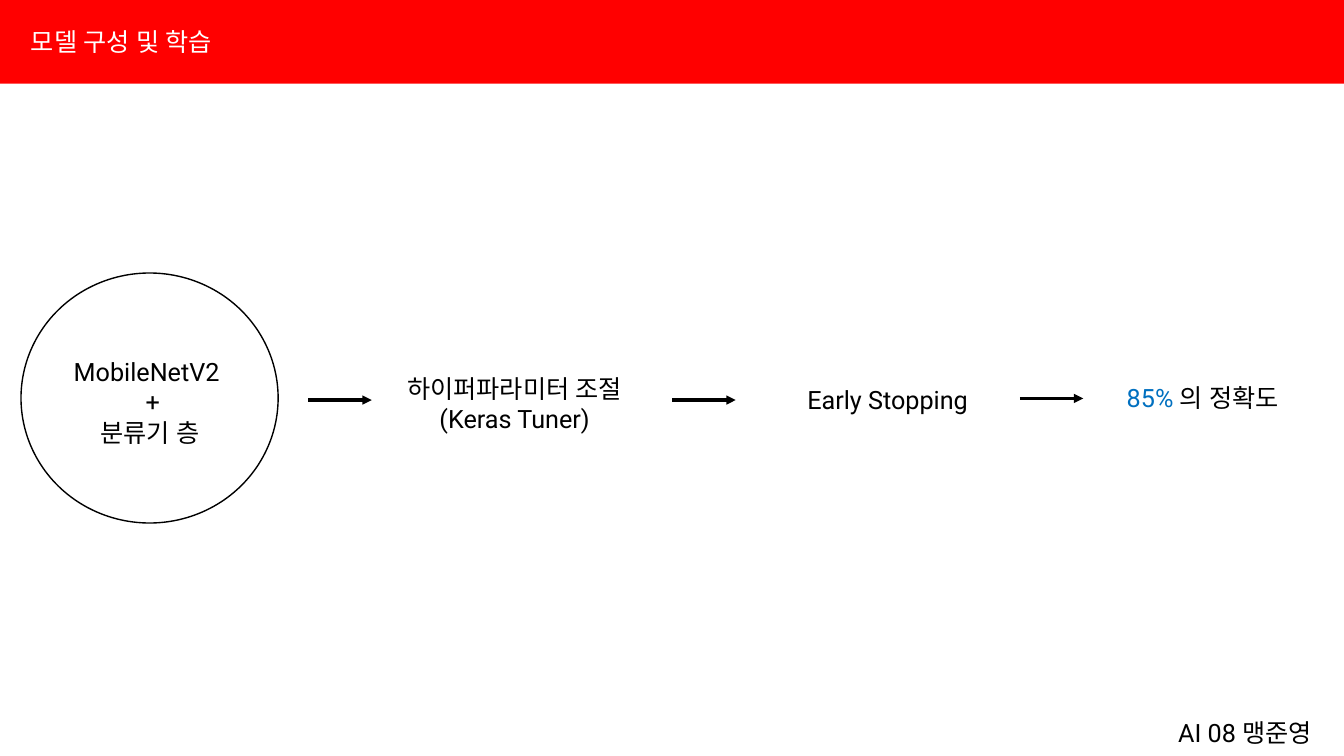
from lxml import etree
from pptx import Presentation
from pptx.dml.color import RGBColor
from pptx.enum import shapes, text
from pptx.oxml import ns
from pptx.util import Cm, Pt

RED = RGBColor(0xFF, 0x00, 0x00)
WHITE = RGBColor(0xFF, 0xFF, 0xFF)
BLACK = RGBColor(0x00, 0x00, 0x00)
BLUE = RGBColor(0x00, 0x70, 0xC0)


class FlowSlide:
    font = "Roboto"
    size = Pt(18)
    arrow_length = 1.6

    def __init__(self, slide):
        self.slide = slide

    def preset(self, kind, left, top, width, height, fill=None, outline=None):
        preset = self.slide.shapes.add_shape(
            kind, Cm(left), Cm(top), Cm(width), Cm(height))
        preset.shadow.inherit = False
        if fill is None:
            preset.fill.background()
        else:
            preset.fill.solid()
            preset.fill.fore_color.rgb = fill
        if outline is None:
            preset.line.fill.background()
        else:
            preset.line.color.rgb = outline
            preset.line.width = Pt(1)

    def label(self, lines, left, top, width, height=1.03, centred=True):
        frame = self.slide.shapes.add_textbox(
            Cm(left), Cm(top), Cm(width), Cm(height)).text_frame
        frame.word_wrap = True
        frame.auto_size = text.MSO_AUTO_SIZE.SHAPE_TO_FIT_TEXT
        for index, line in enumerate(lines):
            paragraph = frame.add_paragraph() if index else frame.paragraphs[0]
            if centred:
                paragraph.alignment = text.PP_ALIGN.CENTER
            for words, colour in line:
                run = paragraph.add_run()
                run.text = words
                run.font.name = self.font
                run.font.size = self.size
                run.font.color.rgb = colour
                east_asian = etree.SubElement(run.font._element, ns.qn("a:ea"))
                east_asian.set("typeface", self.font)

    def arrow(self, left, middle):
        arrow = self.slide.shapes.add_connector(
            shapes.MSO_CONNECTOR.STRAIGHT, Cm(left), Cm(middle),
            Cm(left + self.arrow_length), Cm(middle))
        arrow.line.color.rgb = BLACK
        arrow.line.width = Pt(2.25)
        properties = arrow._element.spPr
        head = etree.SubElement(properties.find(ns.qn("a:ln")), ns.qn("a:tailEnd"))
        head.set("type", "triangle")
        etree.SubElement(properties, ns.qn("a:effectLst"))


deck = Presentation()
deck.slide_width = Cm(33.87)
deck.slide_height = Cm(19.05)
flow = FlowSlide(deck.slides.add_slide(deck.slide_layouts[6]))

flow.preset(shapes.MSO_SHAPE.RECTANGLE, 0, 0, 33.87, 2.11, fill=RED)
flow.label([[("모델 구성 및 학습", WHITE)]], 0.53, 0.53, 7.42, centred=False)
flow.label([[("AI 08 맹준영", BLACK)]], 29.44, 17.96, 4.44, centred=False)

flow.preset(shapes.MSO_SHAPE.OVAL, 0.53, 6.88, 6.48, 6.3, outline=BLACK)
model = [[(line, BLACK)] for line in ("MobileNetV2 ", " +", "분류기 층")]
tuning = [[(line, BLACK)] for line in ("하이퍼파라미터 조절", "(Keras Tuner)")]
accuracy = [[("85%", BLUE), (" 의 정확도", BLACK)]]
flow.label(model, 0.84, 8.86, 5.87, 2.57)
flow.label(tuning, 9.73, 9.27, 6.48, 1.8)
flow.label([[("Early Stopping", BLACK)]], 19.13, 9.55, 6.48)
flow.label(accuracy, 27.3, 9.52, 6.02)

for left, middle in ((7.77, 10.08), (16.94, 10.08), (25.7, 10.04)):
    flow.arrow(left, middle)

deck.save("out.pptx")
